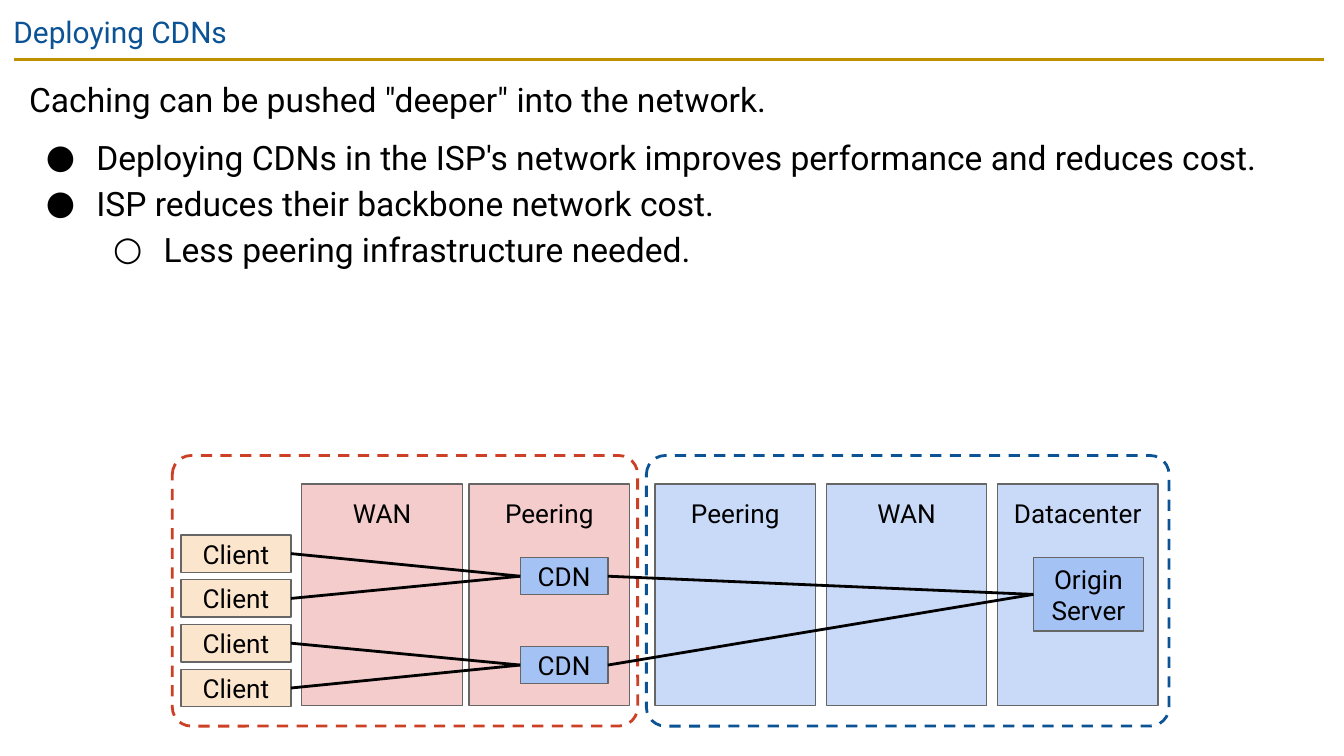
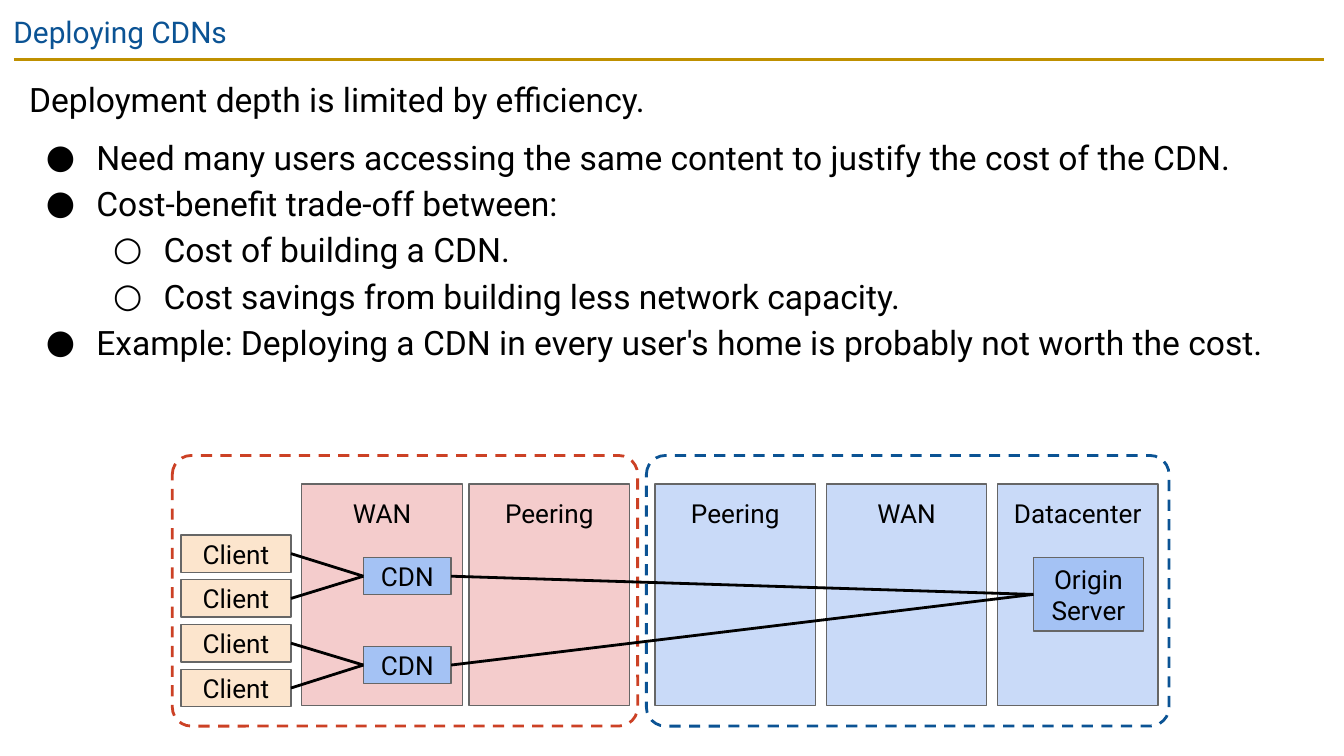
import lxml.etree
import pptx
import pptx.dml.color
import pptx.enum.dml
import pptx.enum.shapes
import pptx.enum.text
import pptx.oxml.ns
import pptx.util

Pt = pptx.util.Pt
RGBColor = pptx.dml.color.RGBColor
SHAPE = pptx.enum.shapes.MSO_SHAPE
ANCHOR = pptx.enum.text.MSO_ANCHOR
ALIGN = pptx.enum.text.PP_ALIGN

BLACK = RGBColor(0x00, 0x00, 0x00)
BLUE = RGBColor(0x0B, 0x53, 0x94)
RED = RGBColor(0xCC, 0x41, 0x25)
GOLD = RGBColor(0xBF, 0x90, 0x00)
GRAY = RGBColor(0x66, 0x66, 0x66)
PALE_RED = RGBColor(0xF4, 0xCC, 0xCC)
PALE_BLUE = RGBColor(0xC9, 0xDA, 0xF8)
MEDIUM_BLUE = RGBColor(0xA4, 0xC2, 0xF4)
PALE_ORANGE = RGBColor(0xFC, 0xE5, 0xCD)

FONT = "Roboto"
INSET = Pt(7.2)
FRAME_FORMAT = {
    "word_wrap": True,
    "auto_size": pptx.enum.text.MSO_AUTO_SIZE.NONE,
    "margin_left": INSET,
    "margin_top": INSET,
    "margin_right": INSET,
    "margin_bottom": INSET,
}
BULLETS = {1: "●", 2: "○"}
TOP, LEFT, BOTTOM, RIGHT = range(4)

COLUMN_TOP, COLUMN_WIDTH, COLUMN_HEIGHT = 259.2, 86, 118.8
COLUMNS = [
    ("WAN", 161.7, PALE_RED),
    ("Peering", 251.3, PALE_RED),
    ("Peering", 350.9, PALE_BLUE),
    ("WAN", 442.7, PALE_BLUE),
    ("Datacenter", 534.4, PALE_BLUE),
]
NETWORKS = [(346.3, 280, BLUE), (92.3, 249.3, RED)]
NETWORK_TOP, NETWORK_HEIGHT = 244, 145
CLIENT_LEFT, CLIENT_TOP, CLIENT_PITCH = 96.9, 286.6, 24
CDN_TOP, CDN_PITCH = 298.7, 47.6
ORIGIN_BOX = (553.6, 298.7, 59, 39.5)

SLIDES = [
    {
        "lines": [
            (0, 'Caching can be pushed "deeper" into the network.'),
            (1, "Deploying CDNs in the ISP's network improves performance and reduces cost."),
            (1, "ISP reduces their backbone network cost."),
            (2, "Less peering infrastructure needed."),
        ],
        "cdn_left": 278.7,
    },
    {
        "lines": [
            (0, "Deployment depth is limited by efficiency."),
            (1, "Need many users accessing the same content to justify the cost of the CDN."),
            (1, "Cost-benefit trade-off between:"),
            (2, "Cost of building a CDN."),
            (2, "Cost savings from building less network capacity."),
            (1, "Example: Deploying a CDN in every user's home is probably not worth the cost."),
        ],
        "cdn_left": 194.7,
    },
]


def set_format(target, values):
    """Set each named attribute of the target."""
    for name, value in values.items():
        setattr(target, name, value)


def set_font(font, size, color):
    """Give a font the shared typeface, a size and a colour."""
    set_format(font, {"name": FONT, "size": Pt(size), "bold": False})
    font.color.rgb = color


def set_line(line, color, width):
    """Give a line its colour and width."""
    line.color.rgb = color
    line.width = Pt(width)


def add_child(parent, tag, **attributes):
    """Append a DrawingML element and return it."""
    return lxml.etree.SubElement(parent, pptx.oxml.ns.qn(tag), **attributes)


def add_bullet(paragraph, depth):
    """Give a paragraph the hanging bullet of its depth."""
    paragraph.level = depth - 1
    properties = paragraph._p.get_or_add_pPr()
    properties.set("marL", str(Pt(36 * depth)))
    properties.set("indent", str(-Pt(27)))
    add_child(add_child(properties, "a:buClr"), "a:srgbClr", val=str(BLACK))
    add_child(properties, "a:buFont", typeface=FONT)
    add_child(properties, "a:buChar", char=BULLETS[depth])


def add_line(slide, start, end, color=BLACK):
    """Add a straight line without shadow between two points."""
    connector = slide.shapes.add_connector(
        pptx.enum.shapes.MSO_CONNECTOR.STRAIGHT, *map(Pt, start + end)
    )
    set_line(connector.line, color, 1.5)
    add_child(connector._element.spPr, "a:effectLst")
    return connector


def join_boxes(slide, source, target):
    """Join the right side of one box to the left side of another."""
    connector = add_line(slide, (0, 0), (0, 0))
    connector.begin_connect(source, RIGHT)
    connector.end_connect(target, LEFT)


def add_title(slide, text):
    """Fill the title and draw the rule below it."""
    title = slide.shapes.title
    set_format(title, {"left": 0, "top": 0, "width": Pt(720), "height": Pt(31)})
    frame = title.text_frame
    set_format(frame, FRAME_FORMAT | {"vertical_anchor": ANCHOR.TOP})
    frame.text = text
    paragraph = frame.paragraphs[0]
    paragraph.alignment = ALIGN.LEFT
    set_font(paragraph.runs[0].font, 16, BLUE)
    add_line(slide, (7.5, 31.8), (709.3, 31.8), GOLD)


def add_body(slide, lines):
    """Add the introduction and its bulleted points."""
    frame = slide.shapes.add_textbox(Pt(8.5), Pt(31.8), Pt(701.5), Pt(192)).text_frame
    set_format(frame, FRAME_FORMAT)
    for index, (depth, text) in enumerate(lines):
        paragraph = frame.add_paragraph() if index else frame.paragraphs[0]
        space_before = Pt(6 if index < 2 else 0)
        set_format(paragraph, {"line_spacing": 1.15, "space_before": space_before})
        run = paragraph.add_run()
        run.text = text
        set_font(run.font, 18, BLACK)
        if depth:
            add_bullet(paragraph, depth)


def add_box(slide, text, box, fill, anchor=ANCHOR.MIDDLE):
    """Add a filled rectangle with a centred label."""
    shape = slide.shapes.add_shape(SHAPE.RECTANGLE, *map(Pt, box))
    shape.shadow.inherit = False
    shape.fill.solid()
    shape.fill.fore_color.rgb = fill
    set_line(shape.line, GRAY, 0.75)
    frame = shape.text_frame
    set_format(frame, FRAME_FORMAT | {"vertical_anchor": anchor})
    frame.text = text
    paragraph = frame.paragraphs[0]
    paragraph.alignment = ALIGN.CENTER
    set_font(paragraph.runs[0].font, 14, BLACK)
    return shape


def add_network(slide, left, width, color):
    """Add the dashed outline around one network."""
    shape = slide.shapes.add_shape(
        SHAPE.ROUNDED_RECTANGLE, *map(Pt, (left, NETWORK_TOP, width, NETWORK_HEIGHT))
    )
    shape.adjustments[0] = 0.07
    shape.shadow.inherit = False
    shape.fill.background()
    set_line(shape.line, color, 1.5)
    shape.line.dash_style = pptx.enum.dml.MSO_LINE.DASH


def add_diagram(slide, cdn_left):
    """Draw both networks with the CDNs at the given left edge."""
    for network in NETWORKS:
        add_network(slide, *network)
    for text, left, fill in COLUMNS:
        box = (left, COLUMN_TOP, COLUMN_WIDTH, COLUMN_HEIGHT)
        add_box(slide, text, box, fill, ANCHOR.TOP)
    origin = add_box(slide, "Origin Server", ORIGIN_BOX, MEDIUM_BLUE)
    cdns = [
        add_box(slide, "CDN", (cdn_left, CDN_TOP + row * CDN_PITCH, 47, 20), MEDIUM_BLUE)
        for row in range(2)
    ]
    for row in range(4):
        box = (CLIENT_LEFT, CLIENT_TOP + row * CLIENT_PITCH, 59, 20)
        client = add_box(slide, "Client", box, PALE_ORANGE)
        join_boxes(slide, client, cdns[row // 2])
    for cdn in cdns:
        join_boxes(slide, cdn, origin)


def main():
    """Build and save the presentation."""
    presentation = pptx.Presentation()
    set_format(presentation, {"slide_width": Pt(720), "slide_height": Pt(405)})
    for content in SLIDES:
        slide = presentation.slides.add_slide(presentation.slide_layouts[5])
        add_title(slide, "Deploying CDNs")
        add_body(slide, content["lines"])
        add_diagram(slide, content["cdn_left"])
    presentation.save("out.pptx")


if __name__ == "__main__":
    main()
